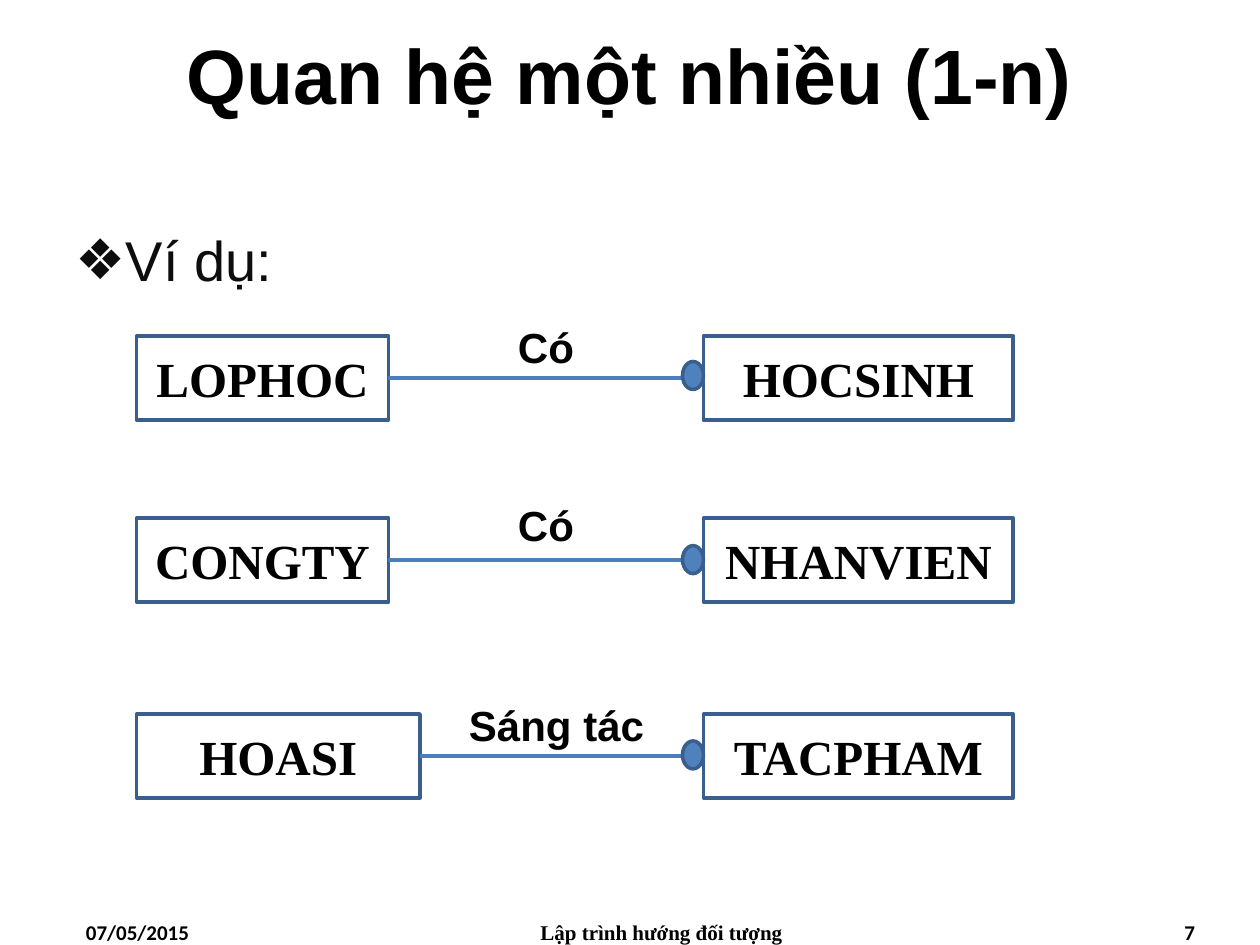
from lxml import etree
from pptx import Presentation
from pptx.dml.color import RGBColor
from pptx.enum.shapes import MSO_CONNECTOR, MSO_SHAPE
from pptx.enum.text import MSO_ANCHOR, MSO_AUTO_SIZE, PP_ALIGN
from pptx.oxml.ns import qn
from pptx.util import Pt

BLACK, OUTLINE, LINK, DOT = "000000", "3A5F8C", "4B7EBC", "4F81BD"
SERIF = "Times New Roman"


def color(hex_string):
    return RGBColor.from_string(hex_string)


def place(shape, left, top, width, height):
    shape.left, shape.top = Pt(left), Pt(top)
    shape.width, shape.height = Pt(width), Pt(height)


def write(shape, text, size, font, align, bold=True, ink=BLACK):
    """Fill the shape with one formatted paragraph and return it."""
    shape.text_frame.word_wrap = True
    paragraph = shape.text_frame.paragraphs[0]
    paragraph.text = text
    paragraph.alignment = align
    paragraph.font.size = Pt(size)
    paragraph.font.name = font
    paragraph.font.bold = bold
    paragraph.font.color.rgb = color(ink)
    return paragraph


def set_line(shape, ink):
    shape.line.color.rgb = color(ink)
    shape.line.width = Pt(2)


def add_title(slide, text):
    title = slide.shapes.title
    place(title, 0, 0, 720, 84)
    title.text_frame.auto_size = MSO_AUTO_SIZE.NONE
    title.text_frame.vertical_anchor = MSO_ANCHOR.MIDDLE
    write(title, text, 44, "Arial", PP_ALIGN.CENTER)


def add_body(slide, text):
    body = slide.placeholders[1]
    place(body, 36, 114, 660, 388)
    body.text_frame.auto_size = MSO_AUTO_SIZE.NONE
    paragraph = body.text_frame.paragraphs[0]
    paragraph.line_spacing = 1.3
    paragraph.space_before = paragraph.space_after = Pt(3)
    properties = paragraph._p.get_or_add_pPr()
    properties.set("marL", str(Pt(27)))
    properties.set("indent", str(Pt(-27)))
    etree.SubElement(properties, qn("a:buChar")).set("char", "❖")
    write(body, text, 32, "Arial", PP_ALIGN.JUSTIFY, False, "0D0D0D")


def add_entity(group, name, left, top, width, height):
    entity = group.shapes.add_shape(
        MSO_SHAPE.RECTANGLE, Pt(left), Pt(top), Pt(width), Pt(height))
    entity.shadow.inherit = False
    entity.fill.background()
    set_line(entity, OUTLINE)
    entity.text_frame.vertical_anchor = MSO_ANCHOR.MIDDLE
    write(entity, name, 28, SERIF, PP_ALIGN.CENTER)
    return entity


def add_relation(slide, left, top, one, one_width, verb, verb_box, many, dot_drop):
    """Draw a one-to-many pair; verb_box is the label's offset and width."""
    many_left, many_width, height = left + 324, 177, 48
    group = slide.shapes.add_group_shape()
    one_entity = add_entity(group, one, left, top, one_width, height)
    many_entity = add_entity(group, many, many_left, top, many_width, height)

    link = group.shapes.add_connector(
        MSO_CONNECTOR.STRAIGHT, Pt(left + one_width), Pt(top + height / 2),
        Pt(many_left), Pt(top + height / 2))
    link.begin_connect(one_entity, 3)
    link.end_connect(many_entity, 1)
    set_line(link, LINK)
    etree.SubElement(link._element.spPr, qn("a:effectLst"))

    verb_left, verb_top, verb_width = verb_box
    label = group.shapes.add_textbox(
        Pt(left + verb_left), Pt(top + verb_top), Pt(verb_width), Pt(36))
    write(label, verb, 24, "Arial", PP_ALIGN.CENTER)

    dot = group.shapes.add_shape(
        MSO_SHAPE.OVAL, Pt(many_left - 12), Pt(top + dot_drop), Pt(12), Pt(16))
    dot.shadow.inherit = False
    dot.fill.solid()
    dot.fill.fore_color.rgb = color(DOT)
    set_line(dot, OUTLINE)


def add_footer(slide, top, height):
    for text, left, width, font, align in (
        ("07/05/2015", 42, 168, "Calibri", PP_ALIGN.LEFT),
        ("Lập trình hướng đối tượng", 264, 228, SERIF, PP_ALIGN.CENTER),
        ("7", 522, 168, "Calibri", PP_ALIGN.RIGHT),
    ):
        note = slide.shapes.add_textbox(Pt(left), Pt(top), Pt(width), Pt(height))
        write(note, text, 12, font, align)


def main():
    presentation = Presentation()
    presentation.slide_width, presentation.slide_height = Pt(720), Pt(540)
    slide = presentation.slides.add_slide(presentation.slide_layouts[1])
    add_title(slide, "Quan hệ một nhiều (1-n)")
    add_body(slide, "Ví dụ:")
    for relation in (
        (192, "LOPHOC", 144, "Có", (162, -12, 144), "HOCSINH", 14.6),
        (296, "CONGTY", 144, "Có", (162, -14, 144), "NHANVIEN", 15.8),
        (408, "HOASI", 162, "Sáng tác", (174, -12, 132), "TACPHAM", 15.4),
    ):
        add_relation(slide, 78, *relation)
    add_footer(slide, 522, 18)
    presentation.save("out.pptx")


if __name__ == "__main__":
    main()
